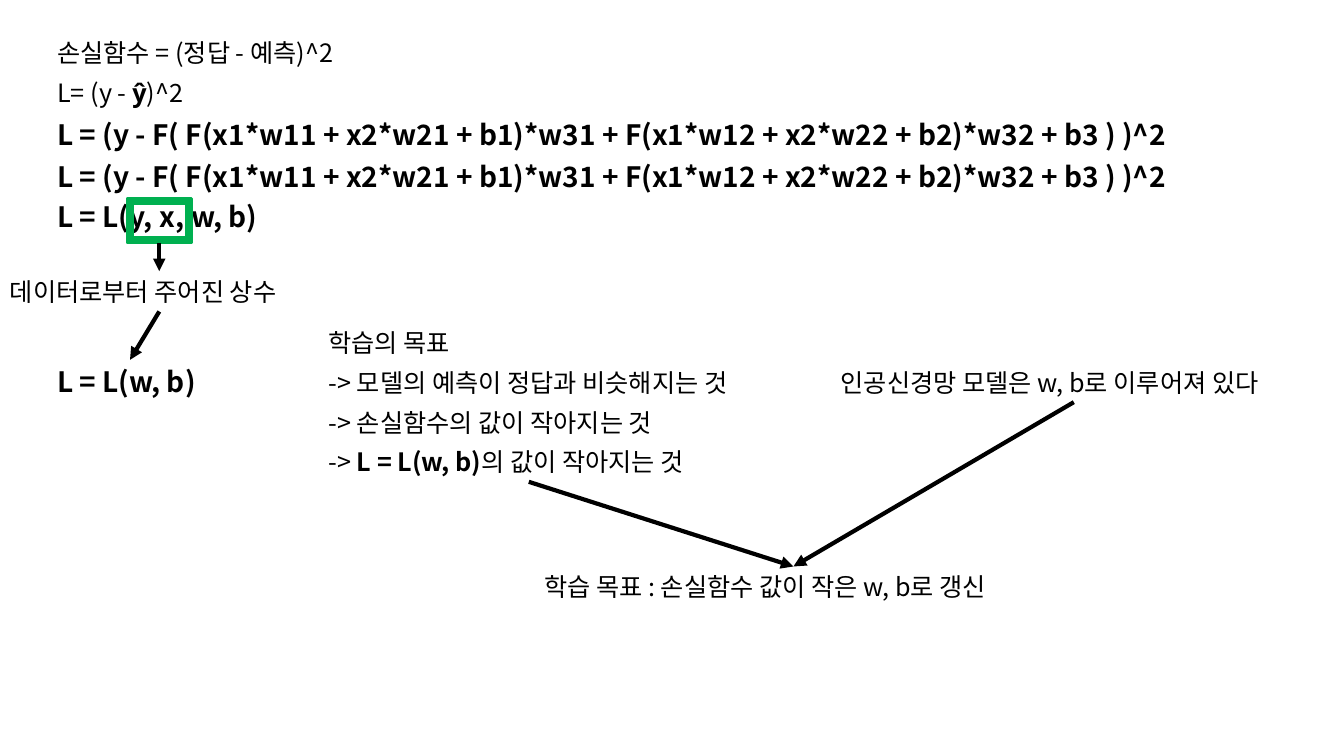
from lxml import etree
from pptx import Presentation
from pptx.dml.color import RGBColor
from pptx.enum import shapes, text
from pptx.oxml import ns
from pptx.util import Inches, Pt

FONT = "Noto Sans CJK KR"
BLACK = "000000"
GREEN = "00B050"
EXPANDED_LOSS = "L = (y - F( F(x1*w11 + x2*w21 + b1)*w31 + F(x1*w12 + x2*w22 + b2)*w32 + b3 ) )^2"
TOP, LEFT, BOTTOM, RIGHT = range(4)


def color(value):
    """Turn a hex string into a colour."""
    return RGBColor.from_string(value)


def add_label(slide, left, top, width, *parts, size=18):
    """Add a one-line text box; parts are plain strings or (string, bold) pairs."""
    height = 0.44 if size == 20 else 0.4
    box = slide.shapes.add_textbox(Inches(left), Inches(top), Inches(width), Inches(height))
    frame = box.text_frame
    frame.word_wrap = False
    frame.auto_size = text.MSO_AUTO_SIZE.SHAPE_TO_FIT_TEXT
    for part in parts:
        content, bold = (part, False) if isinstance(part, str) else part
        run = frame.paragraphs[0].add_run()
        run.text = content
        run.font.size = Pt(size)
        run.font.bold = bold
        run.font.color.rgb = color(BLACK)
        run.font.name = FONT
        east_asian = etree.SubElement(run.font._element, ns.qn("a:ea"))
        east_asian.set("typeface", FONT)
    return box


def add_formula(slide, left, top, width, content):
    """Add a bold formula line."""
    return add_label(slide, left, top, width, (content, True), size=20)


def add_highlight(slide, left, top, width, height):
    """Add a green frame around part of a formula."""
    shape = slide.shapes.add_shape(
        shapes.MSO_SHAPE.FRAME, Inches(left), Inches(top), Inches(width), Inches(height))
    shape.shadow.inherit = False
    shape.fill.solid()
    shape.fill.fore_color.rgb = color(GREEN)
    shape.line.color.rgb = color(GREEN)
    shape.line.width = Pt(1.5)
    return shape


def add_arrow(slide, source, target):
    """Add an arrow from the bottom of one shape to the top of another."""
    arrow = slide.shapes.add_connector(shapes.MSO_CONNECTOR.STRAIGHT, 0, 0, 0, 0)
    arrow.begin_connect(source, BOTTOM)
    arrow.end_connect(target, TOP)
    arrow.line.color.rgb = color(BLACK)
    arrow.line.width = Pt(3)
    head = etree.SubElement(arrow.line._get_or_add_ln(), ns.qn("a:tailEnd"))
    head.set("type", "triangle")
    etree.SubElement(arrow._element.spPr, ns.qn("a:effectLst"))


def main():
    """Build the slide about the loss function and the learning goal."""
    presentation = Presentation()
    presentation.slide_width = Inches(13.33)
    presentation.slide_height = Inches(7.5)
    slide = presentation.slides.add_slide(presentation.slide_layouts[6])

    add_label(slide, 0.47, 0.32, 3.33, "손실함수 = (정답 - 예측)^2")
    add_label(slide, 0.47, 0.72, 1.59, "L= (y - ", ("ŷ", True), ")^2")
    for top in (1.12, 1.53):
        add_formula(slide, 0.47, top, 11.82, EXPANDED_LOSS)
    add_formula(slide, 0.47, 1.93, 2.27, "L = L(y, x, w, b)")
    given_data = add_highlight(slide, 1.26, 1.97, 0.64, 0.44)
    constants = add_label(slide, 0, 2.69, 3.16, "데이터로부터 주어진 상수")
    reduced_loss = add_formula(slide, 0.47, 3.57, 1.64, "L = L(w, b)")

    add_label(slide, 3.16, 3.2, 1.55, "학습의 목표")
    add_label(slide, 3.16, 3.59, 4.72, "-> 모델의 예측이 정답과 비슷해지는 것")
    add_label(slide, 3.16, 3.99, 3.87, "-> 손실함수의 값이 작아지는 것")
    small_loss = add_label(
        slide, 3.16, 4.38, 4.17, "-> ", ("L = L(w, b)", True), "의 값이 작아지는 것")
    model = add_label(slide, 8.24, 3.59, 4.82, "인공신경망 모델은 w, b로 이루어져 있다")
    update = add_label(slide, 5.3, 5.62, 5.14, "학습 목표 : 손실함수 값이 작은 w, b로 갱신")

    for source, target in ((given_data, constants), (constants, reduced_loss),
                           (small_loss, update), (model, update)):
        add_arrow(slide, source, target)

    presentation.save("out.pptx")


if __name__ == "__main__":
    main()
